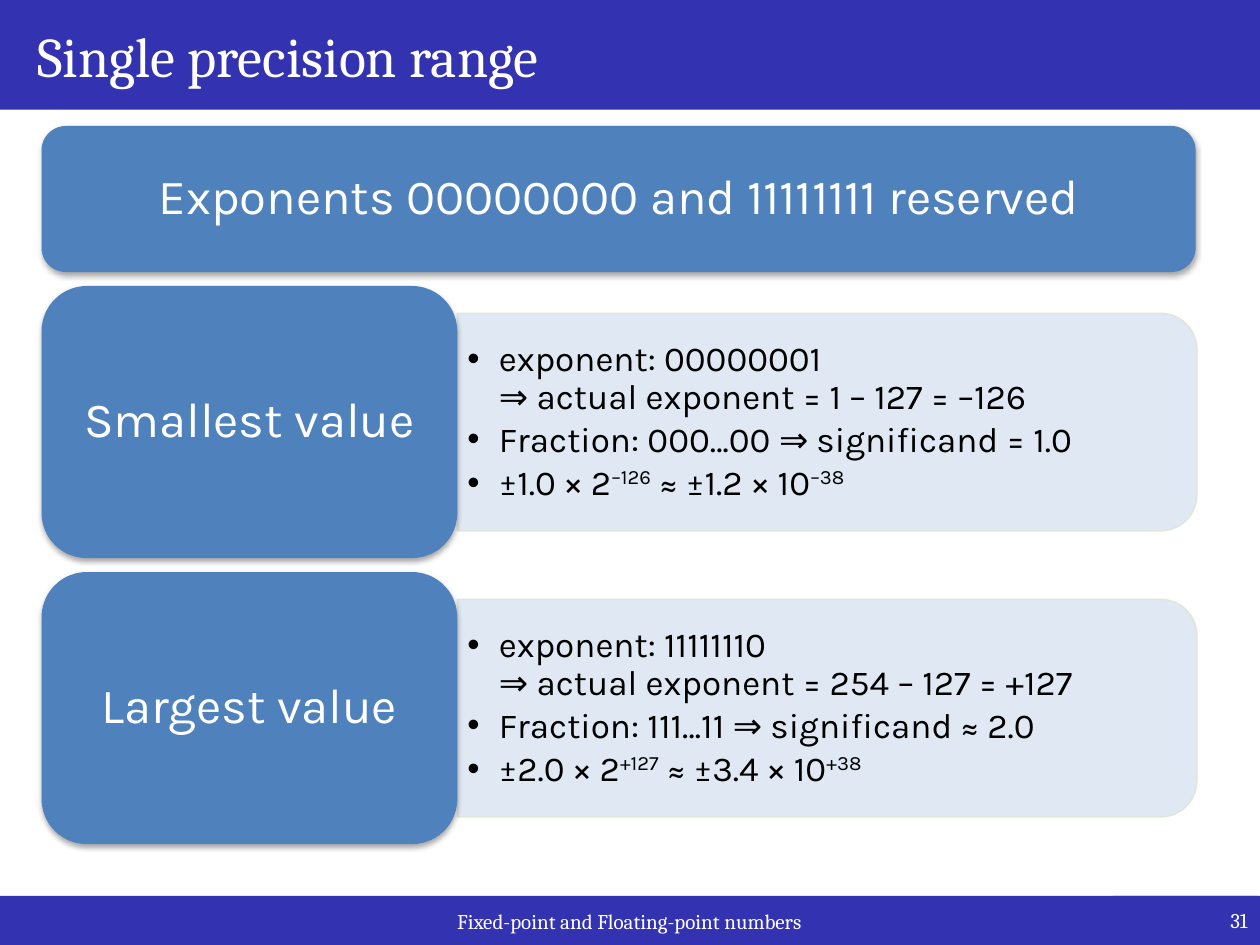
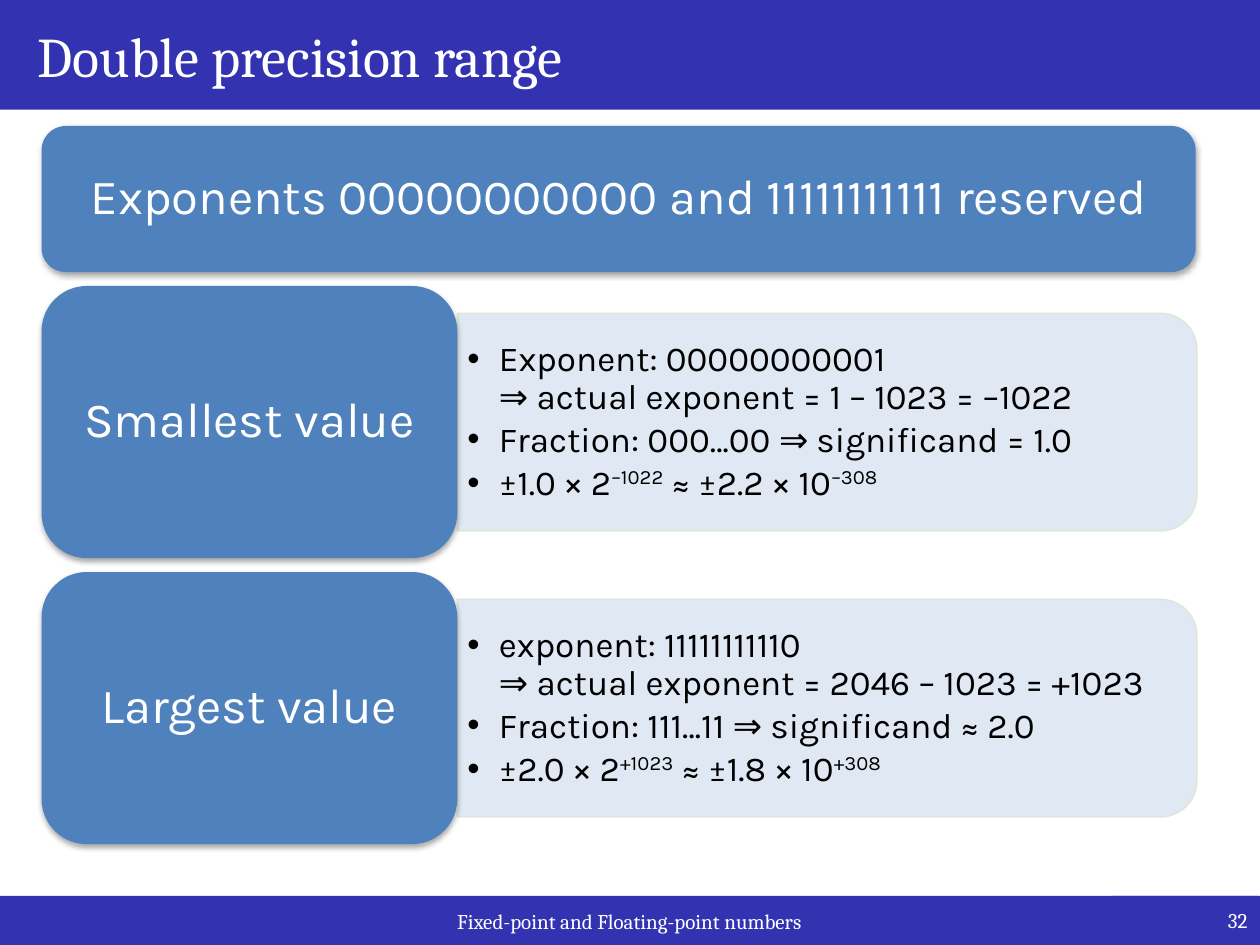
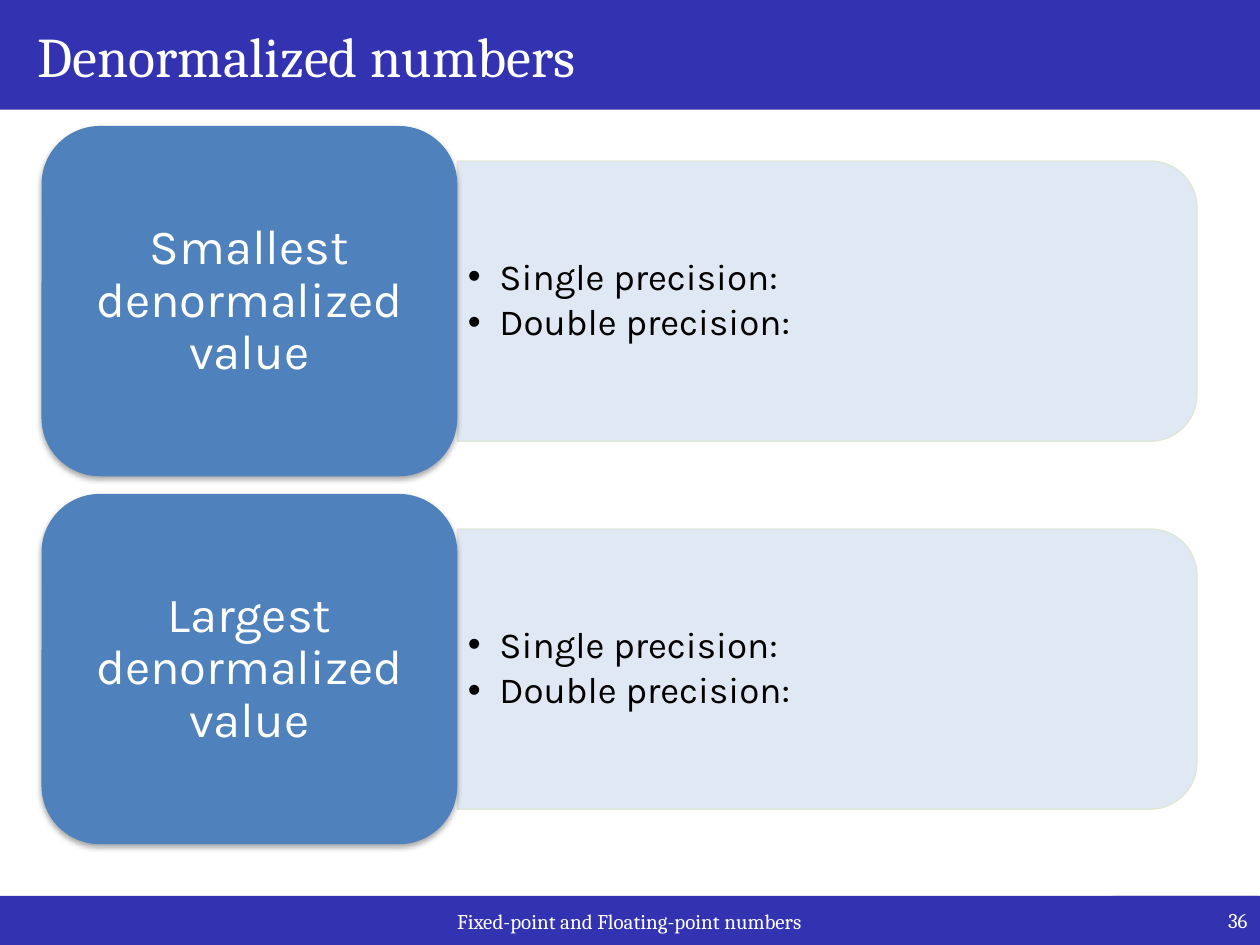
from dataclasses import dataclass

import pptx
import pptx.util
import pptx.oxml
import pptx.oxml.ns
from pptx.dml.color import RGBColor
from pptx.enum.shapes import MSO_SHAPE
from pptx.enum.text import MSO_ANCHOR, PP_ALIGN
from pptx.util import Inches

SLIDE_W, SLIDE_H = 10, 7.5
LEFT, LABEL_W, PANEL_W = 0.33, 3.3, 5.87
BANNER_W, BANNER_H = 9.16, 1.16
TOP, BOTTOM = 1, 6.7
PANEL_SHARE = 0.8            # height of a panel relative to its label
CORNER = 0.29 / 6            # text inset caused by a default rounded corner
FOOTER = "Fixed-point and Floating-point numbers"


@dataclass(frozen=True)
class Theme:
    bar: str = "3333B2"
    block: str = "4F81BD"
    panel: str = "DCE6F2"
    panel_line: str = "DEE7D1"
    light: str = "FFFFFF"
    dark: str = "000000"
    serif: str = "Cambria"
    sans: str = "Karla"
    title_pt: float = 32
    block_pt: float = 28
    footer_pt: float = 12


def add_xml(parent, xml):
    """Append a fragment written with the a: prefix."""
    tag, rest = xml.split(" ", 1)
    ns = pptx.oxml.ns.nsdecls("a")
    parent.append(pptx.oxml.parse_xml(f"{tag} {ns} {rest}"))


def set_alpha(fill_owner, percent):
    for color in fill_owner.iter(pptx.oxml.ns.qn("a:srgbClr")):
        add_xml(color, f'<a:alpha val="{percent * 1000}"/>')


def write(sp, paragraphs, *, size, font, color, align=PP_ALIGN.LEFT, insets=(0.1, 0.05),
          spacing=None, after=None, indent=0, bullet=False):
    """Fill a shape with text; pieces between bars alternate normal and superscript."""
    tf = sp.text_frame
    tf.word_wrap = True
    tf.vertical_anchor = MSO_ANCHOR.MIDDLE
    tf.margin_left = tf.margin_right = Inches(insets[0])
    tf.margin_top = tf.margin_bottom = Inches(insets[1])
    for i, text in enumerate(paragraphs):
        p = tf.add_paragraph() if i else tf.paragraphs[0]
        p.alignment = align
        p.line_spacing = spacing
        if after is not None:
            p.space_after = pptx.util.Pt(after)
        pPr = p._p.get_or_add_pPr()
        if indent:
            pPr.set("marL", str(Inches(indent)))
        if bullet:
            pPr.set("indent", str(-Inches(indent)))
            add_xml(pPr, '<a:buFont typeface="Arial"/>')
            add_xml(pPr, '<a:buChar char="•"/>')
        for row, line in enumerate(text.split("\n")):
            if row:
                p.add_line_break()
            for n, piece in enumerate(line.split("|")):
                r = p.add_run()
                r.text = piece
                r.font.size = pptx.util.Pt(size)
                r.font.name = font
                r.font.color.rgb = RGBColor.from_string(color)
                if n % 2:
                    r._r.get_or_add_rPr().set("baseline", "30000")


class Deck:
    def __init__(self, theme):
        self.theme = theme
        self.prs = pptx.Presentation()
        self.prs.slide_width = Inches(SLIDE_W)
        self.prs.slide_height = Inches(SLIDE_H)
        self.s = None

    def shape(self, kind, x, y, w, h, fill):
        sp = self.s.shapes.add_shape(kind, Inches(x), Inches(y), Inches(w), Inches(h))
        sp.shadow.inherit = False
        sp.fill.solid()
        sp.fill.fore_color.rgb = RGBColor.from_string(fill)
        sp.line.fill.background()
        return sp

    def bar(self, x, y, w, h, text, size, **text_format):
        sp = self.shape(MSO_SHAPE.RECTANGLE, x, y, w, h, self.theme.bar)
        write(sp, [text], size=size, font=self.theme.serif, color=self.theme.light,
              **text_format)

    def new_slide(self, title, number):
        t = self.theme
        self.s = self.prs.slides.add_slide(self.prs.slide_layouts[6])
        self.bar(0, 7.11, 9.99, 0.4, FOOTER, t.footer_pt, align=PP_ALIGN.CENTER)
        self.bar(0, 0, SLIDE_W, 0.87, title, t.title_pt, indent=0.2)
        self.bar(8.83, 7.11, 1.17, 0.39, str(number), t.footer_pt,
                 align=PP_ALIGN.RIGHT, after=6)

    def block(self, y, w, h, text):
        """Rounded block with a soft shadow and a centred caption."""
        t = self.theme
        sp = self.shape(MSO_SHAPE.ROUNDED_RECTANGLE, LEFT, y, w, h, t.block)
        effects = sp._element.spPr.find(pptx.oxml.ns.qn("a:effectLst"))
        add_xml(effects, '<a:outerShdw blurRad="40000" dist="23000" dir="5400000" rotWithShape="0">'
                         '<a:srgbClr val="000000"><a:alpha val="35000"/></a:srgbClr></a:outerShdw>')
        write(sp, [text], size=t.block_pt, font=t.sans, color=t.light,
              align=PP_ALIGN.CENTER, insets=(0.12, 0.06), spacing=0.9, after=10)

    def panel(self, y, h, bullets, size):
        """Pale panel, rounded on the right, with a bulleted list over it."""
        t = self.theme
        x = LEFT + LABEL_W
        sp = self.shape(MSO_SHAPE.ROUND_2_SAME_RECTANGLE, x + (PANEL_W - h) / 2,
                        y + (h - PANEL_W) / 2, h, PANEL_W, t.panel)
        sp.rotation = 90
        sp.line.color.rgb = RGBColor.from_string(t.panel_line)
        sp.line.width = pptx.util.Pt(0.75)
        set_alpha(sp._element.spPr, 90)
        inset = h * CORNER
        box = self.s.shapes.add_textbox(Inches(x), Inches(y + inset),
                                        Inches(PANEL_W - inset), Inches(h - 2 * inset))
        write(box, bullets, size=size, font=t.sans, color=t.dark, insets=(size / 250, 0.04),
              spacing=0.9, after=size * 0.15, indent=0.25, bullet=True)

    def rows(self, top, gap, size, entries):
        """Share the height down to BOTTOM equally among label and panel pairs."""
        h = (BOTTOM - top - gap * (len(entries) - 1)) / len(entries)
        for i, (label, bullets) in enumerate(entries):
            y = top + i * (h + gap)
            self.panel(y + h * (1 - PANEL_SHARE) / 2, h * PANEL_SHARE, bullets, size)
            self.block(y, LABEL_W, h, label)

    def range_slide(self, title, number, banner, smallest, largest):
        gap = 0.11
        self.new_slide(title, number)
        self.block(TOP, BANNER_W, BANNER_H, banner)
        self.rows(TOP + BANNER_H + gap, gap, 20,
                  [("Smallest value", smallest), ("Largest value", largest)])


def main():
    deck = Deck(Theme())
    zeros = "Fraction: 000…00 ⇒ significand = 1.0"
    ones = "Fraction: 111…11 ⇒ significand ≈ 2.0"
    deck.range_slide(
        "Single precision range", 31, "Exponents 00000000 and 11111111 reserved",
        ["exponent: 00000001\n⇒ actual exponent = 1 – 127 = –126", zeros,
         "±1.0 × 2|–126| ≈ ±1.2 × 10|–38"],
        ["exponent: 11111110\n⇒ actual exponent = 254 – 127 = +127", ones,
         "±2.0 × 2|+127| ≈ ±3.4 × 10|+38"])
    deck.range_slide(
        "Double precision range", 32, "Exponents 00000000000 and 11111111111 reserved",
        ["Exponent: 00000000001\n⇒ actual exponent = 1 – 1023 = –1022", zeros,
         "±1.0 × 2|–1022| ≈ ±2.2 × 10|–308"],
        ["exponent: 11111111110\n⇒ actual exponent = 2046 – 1023 = +1023", ones,
         "±2.0 × 2|+1023| ≈ ±1.8 × 10|+308"])

    deck.new_slide("Denormalized numbers", 36)
    precisions = ["Single precision:", "Double precision:"]
    deck.rows(TOP, 0.14, 21, [(f"{extreme} denormalized value", precisions)
                              for extreme in ("Smallest", "Largest")])
    deck.prs.save("out.pptx")


if __name__ == "__main__":
    main()
